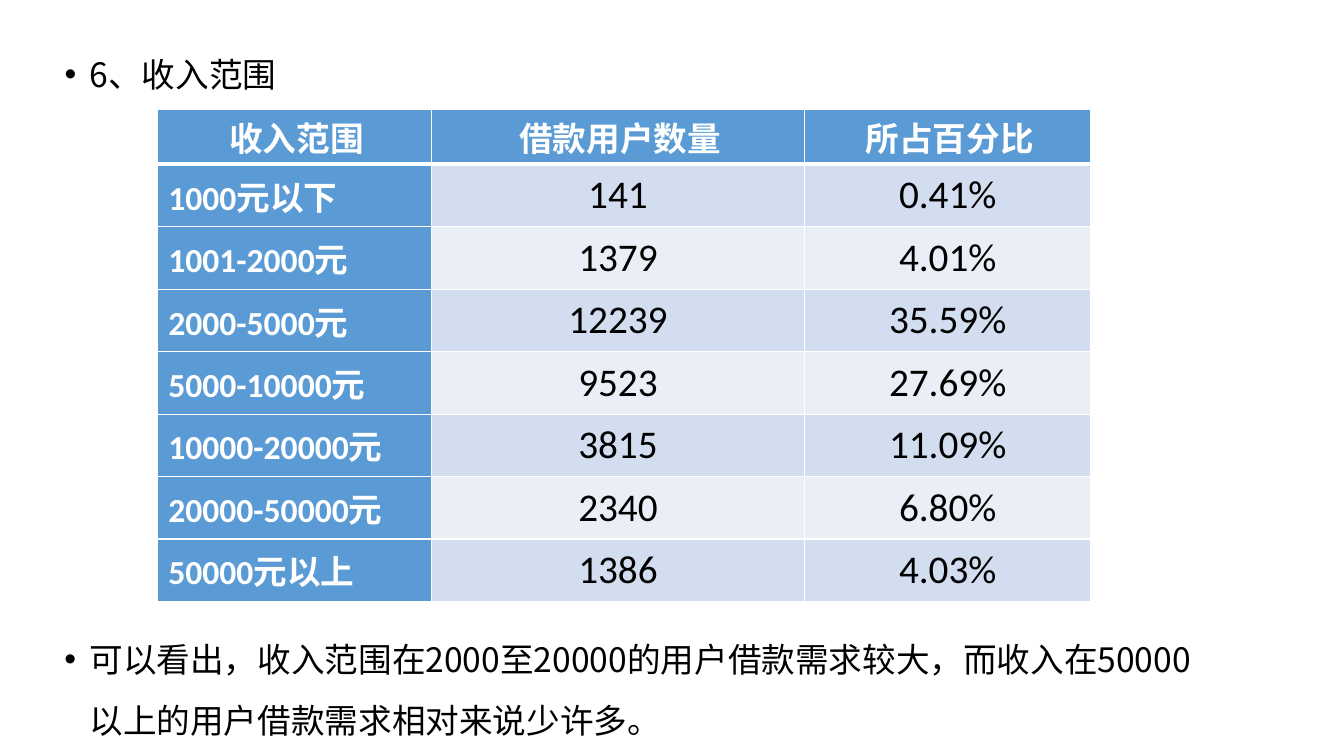
from dataclasses import dataclass
from lxml.etree import SubElement
from pptx import Presentation
from pptx.dml.color import RGBColor
from pptx.enum.text import MSO_ANCHOR, MSO_AUTO_SIZE, PP_ALIGN
from pptx.oxml.ns import qn
from pptx.util import Inches, Pt


@dataclass(frozen=True)
class Theme:
    white: str = "FFFFFF"
    black: str = "000000"
    head: str = "5B9BD5"
    bands: tuple = ("D2DEEF", "EAEFF7")
    text: int = 24
    value: int = 28
    sans: str = "Calibri"
    cjk: str = "Noto Sans CJK SC"


theme = Theme()


def add_run(par, text, font, size, color, bold=False):
    run = par.add_run()
    run.text = text
    run.font.name = font
    run.font.size = Pt(size)
    run.font.bold = bold
    run.font.color.rgb = RGBColor.from_string(color)
    SubElement(run.font._element, qn("a:ea"), typeface=theme.cjk)


def add_point(frame, text):
    """Fill the frame with one bulleted paragraph."""
    frame.word_wrap = True
    par = frame.paragraphs[0]
    par.line_spacing = 1.5
    par.space_before = Pt(10)
    props = par._p.get_or_add_pPr()
    props.set("marL", str(Inches(0.25)))
    props.set("indent", str(-Inches(0.25)))
    SubElement(props, qn("a:buFont"), typeface="Arial")
    SubElement(props, qn("a:buChar"), char="•")
    add_run(par, text, theme.cjk, theme.text, theme.black)


deck = Presentation()
deck.slide_width, deck.slide_height = Inches(13.33), Inches(7.5)
slide = deck.slides.add_slide(deck.slide_layouts[1])
title = slide.shapes.title
title._element.getparent().remove(title._element)

# Heading
left = Inches(0.54)
body = slide.placeholders[1]
body.left, body.top = left, Inches(0.28)
body.width, body.height = Inches(12.23), Inches(4.76)
add_point(body.text_frame, "6、收入范围")
body.text_frame.auto_size = MSO_AUTO_SIZE.NONE

# Income table
rows = [
    ("收入范围", "借款用户数量", "所占百分比"),
    ("1000元以下", "141", "0.41%"),
    ("1001-2000元", "1379", "4.01%"),
    ("2000-5000元", "12239", "35.59%"),
    ("5000-10000元", "9523", "27.69%"),
    ("10000-20000元", "3815", "11.09%"),
    ("20000-50000元", "2340", "6.80%"),
    ("50000元以上", "1386", "4.03%"),
]
widths = (2.72, 3.7, 2.84)
grid = slide.shapes.add_table(
    len(rows), len(widths), Inches(1.56), Inches(1.09), Inches(9.26), Inches(4.91)
).table
for col, width in zip(grid.columns, widths):
    col.width = Inches(width)

for r, row in enumerate(rows):
    grid.rows[r].height = Inches(0.62 if r else 0.54)
    for c, text in enumerate(row):
        cell = grid.cell(r, c)
        label = r == 0 or c == 0
        cell.vertical_anchor = MSO_ANCHOR.MIDDLE
        cell.margin_left = cell.margin_right = Inches(0.07)
        cell.margin_top = cell.margin_bottom = 0
        for side in "LRTB":
            thick = (r, side) in ((0, "B"), (1, "T"))
            line = SubElement(cell._tc.get_or_add_tcPr(), qn("a:ln" + side),
                              w=str(Pt(3 if thick else 1)))
            fill = SubElement(line, qn("a:solidFill"))
            SubElement(fill, qn("a:srgbClr"), val=theme.white)
        cell.fill.solid()
        shade = theme.head if label else theme.bands[(r - 1) % 2]
        cell.fill.fore_color.rgb = RGBColor.from_string(shade)
        par = cell.text_frame.paragraphs[0]
        par.alignment = PP_ALIGN.LEFT if r and c == 0 else PP_ALIGN.CENTER
        if label:
            par._p.get_or_add_pPr().set("marL", str(Inches(0.04)))
            add_run(par, text, theme.sans, theme.text, theme.white, True)
        else:
            add_run(par, text, theme.sans, theme.value, theme.black)

# Finding
note = slide.shapes.add_textbox(left, Inches(6.09), Inches(11.46), Inches(1.31))
add_point(note.text_frame, "可以看出，收入范围在2000至20000的用户借款需求较大，"
          "而收入在50000以上的用户借款需求相对来说少许多。")
note.text_frame.auto_size = MSO_AUTO_SIZE.SHAPE_TO_FIT_TEXT

deck.save("out.pptx")
